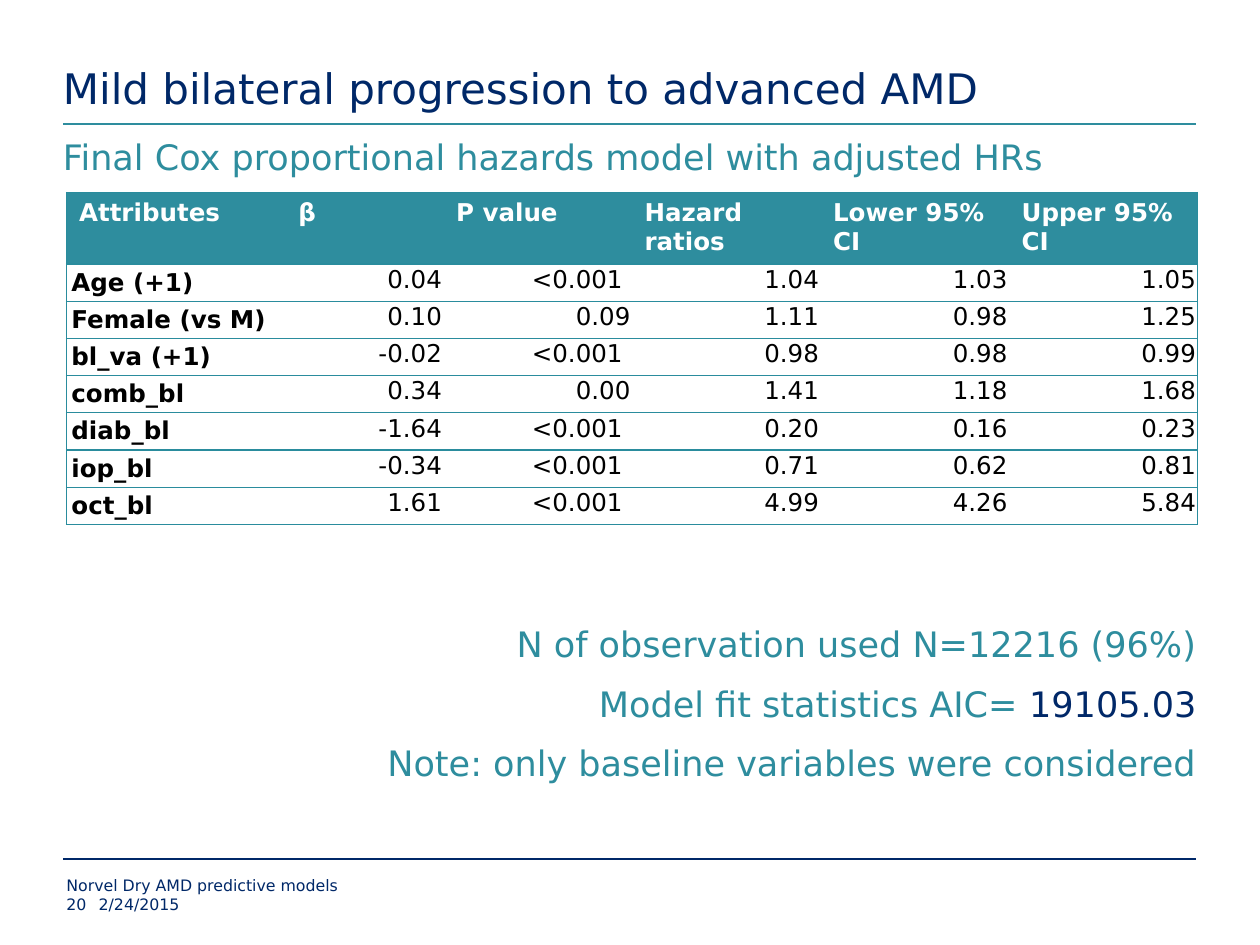
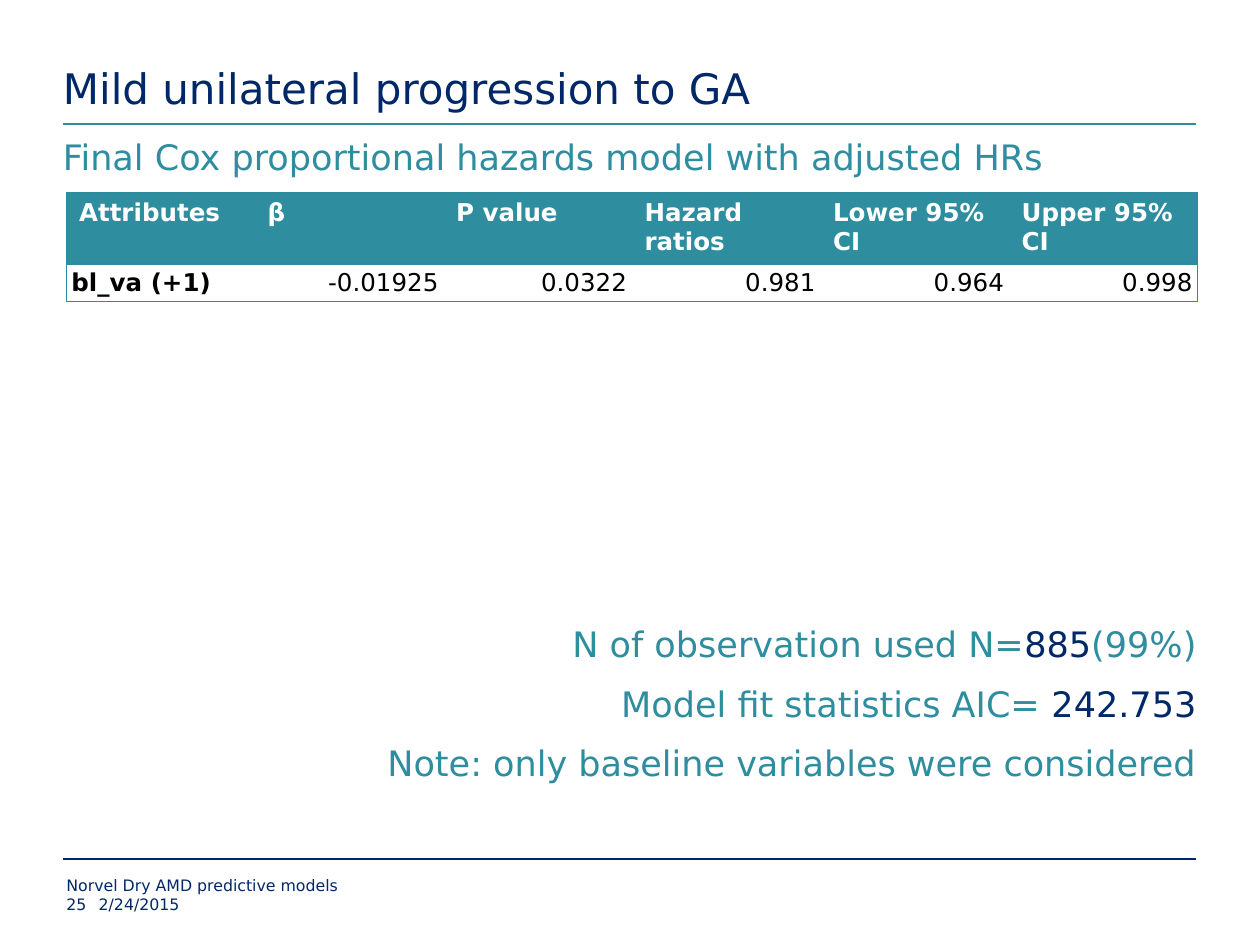
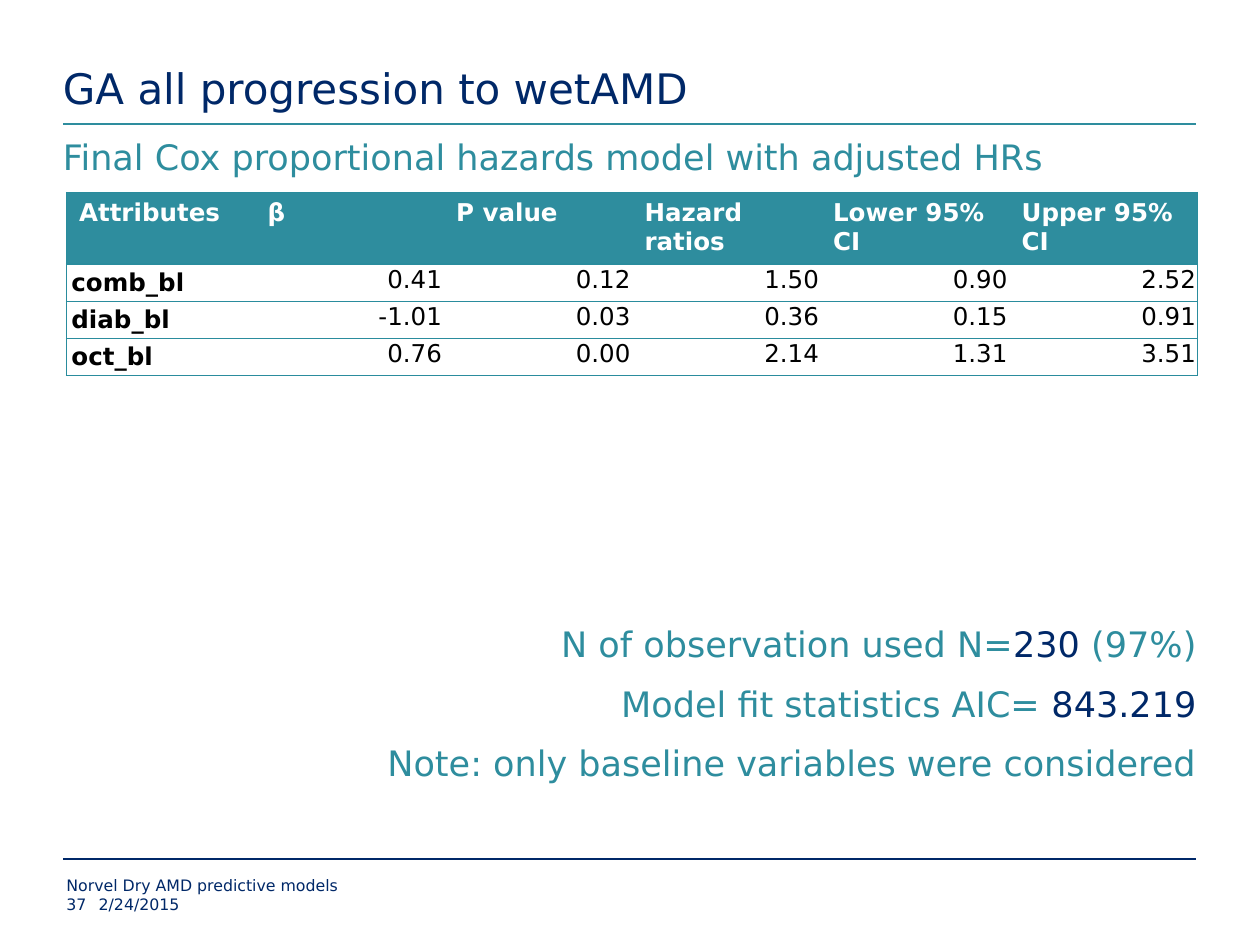
from lxml.etree import SubElement
from pptx import Presentation
from pptx.dml.color import RGBColor
from pptx.enum.shapes import MSO_CONNECTOR
from pptx.enum.text import MSO_ANCHOR, PP_ALIGN
from pptx.oxml import parse_xml
from pptx.oxml.ns import nsdecls, qn
from pptx.util import Cm, Pt

INK = {"navy": "002868", "teal": "2E8D9E", "edge": "2A8C9D",
       "white": "FFFFFF", "black": "000000"}
FONT = "DejaVu Sans"
LEFT, WIDE, RIGHT = 1.27, 22.85, 24.1
INSET = 1.34
COL, ROW, HEAD_ROW = 3.8, 0.75, 1.39
HEADS = ["Attributes", "β", "P value", "Hazard ratios", "Lower 95% CI", "Upper 95% CI"]
SIDES = ("left", "top", "right", "bottom")
TIGHT = (0.03, 0.03, 0.03, 0)
LOOSE = (0.1, 0, 0.1, 0)
AIRY = {"line_spacing": 1.15, "space_after": Pt(3)}
FLUSH = {"alignment": PP_ALIGN.RIGHT}

PAGES = [
    {"title": "Mild bilateral progression to advanced AMD", "num": "20",
     "cols": [4.42, 3.18] + [COL] * 4, "loose": False,
     "rows": [
         ["Age (+1)", "0.04", "<0.001 ", "1.04", "1.03", "1.05"],
         ["Female (vs M)", "0.10", "0.09", "1.11", "0.98", "1.25"],
         ["bl_va (+1)", "-0.02", "<0.001 ", "0.98", "0.98", "0.99"],
         ["comb_bl", "0.34", "0.00", "1.41", "1.18", "1.68"],
         ["diab_bl", "-1.64", "<0.001 ", "0.20", "0.16", "0.23"],
         ["iop_bl", "-0.34", "<0.001 ", "0.71", "0.62", "0.81"],
         ["oct_bl", "1.61", "<0.001 ", "4.99", "4.26", "5.84"]],
     "count": [("12216 (96%)", "teal")], "aic": "19105.03"},
    {"title": "Mild unilateral progression to GA", "num": "25",
     "cols": [COL] * 6, "loose": True,
     "rows": [["bl_va (+1)", "-0.01925", "0.0322", "0.981", "0.964", "0.998"]],
     "count": [("885", "navy"), ("(99%)", "teal")], "aic": "242.753"},
    {"title": "GA all progression to wetAMD", "num": "37",
     "cols": [COL] * 6, "loose": False,
     "rows": [
         ["comb_bl", "0.41", "0.12", "1.50", "0.90", "2.52"],
         ["diab_bl", "-1.01", "0.03", "0.36", "0.15", "0.91"],
         ["oct_bl", "0.76", "0.00", "2.14", "1.31", "3.51"]],
     "count": [("230 ", "navy"), ("(97%)", "teal")], "aic": "843.219"},
]


def apply(item, form):
    for key, value in form.items():
        setattr(item, key, value)


def pad(item, sizes):
    apply(item, {f"margin_{side}": Cm(size) for side, size in zip(SIDES, sizes)})


def write(para, runs, size, bold=False):
    """Add runs given as (text, colour name) pairs."""
    for text, ink in runs:
        run = para.add_run()
        run.text = text
        apply(run.font, {"name": FONT, "size": Pt(size), "bold": bold})
        run.font.color.rgb = RGBColor.from_string(INK[ink])


def add_text(slide, spot, paras, size, form=None, anchor=MSO_ANCHOR.TOP):
    frame = slide.shapes.add_textbox(*map(Cm, spot)).text_frame
    apply(frame, {"word_wrap": True, "vertical_anchor": anchor})
    pad(frame, (0, 0, 0, 0))
    for i, runs in enumerate(paras):
        para = frame.add_paragraph() if i else frame.paragraphs[0]
        apply(para, form or {})
        if i:
            para.space_before = Pt(10)
        write(para, runs, size)


def add_rule(slide, top, ink):
    rule = slide.shapes.add_connector(
        MSO_CONNECTOR.STRAIGHT, Cm(LEFT), Cm(top), Cm(RIGHT), Cm(top))
    rule.line.color.rgb = RGBColor.from_string(INK[ink])
    rule.line.width = Pt(1.5)
    SubElement(rule._element.spPr, qn("a:effectLst"))


def set_edges(cell, drawn):
    """Draw the edges named in drawn and clear the others."""
    props = cell._tc.get_or_add_tcPr()
    for i, side in enumerate("LRTB"):
        fill = (f'<a:solidFill><a:srgbClr val="{INK["edge"]}"/></a:solidFill>'
                if side in drawn else "<a:noFill/>")
        props.insert(i, parse_xml(
            f'<a:ln{side} {nsdecls("a")} w="{Pt(0.75)}">{fill}</a:ln{side}>'))


def fill_cell(cell, text, head, first, loose):
    cell.vertical_anchor = MSO_ANCHOR.TOP
    para = cell.text_frame.paragraphs[0]
    if head:
        cell.fill.solid()
        cell.fill.fore_color.rgb = RGBColor.from_string(INK["teal"])
    else:
        cell.fill.background()
        airy = first or loose
        pad(cell, LOOSE if airy else TIGHT)
        apply(para, {**(AIRY if airy else {}), **({} if first else FLUSH)})
    write(para, [(text, "white" if head else "black")], 14, head or first)


def add_grid(slide, page):
    rows, cols = [HEADS] + page["rows"], page["cols"]
    tall = HEAD_ROW + ROW * len(page["rows"])
    grid = slide.shapes.add_table(
        len(rows), len(cols), Cm(INSET), Cm(3.88), Cm(sum(cols)), Cm(tall)).table
    apply(grid, {"first_row": False, "horz_banding": False})
    for col, width in zip(grid.columns, cols):
        col.width = Cm(width)
    for r, row in enumerate(rows):
        grid.rows[r].height = Cm(ROW if r else HEAD_ROW)
        for c, text in enumerate(row):
            cell = grid.cell(r, c)
            fill_cell(cell, text, r == 0, c == 0, page["loose"])
            ends = {0: "L", len(cols) - 1: "R"}
            set_edges(cell, "TB" + ends.get(c, ""))


def add_frame(slide, page):
    """Add the title, subtitle, rules and footer that all slides share."""
    add_rule(slide, 2.5, "teal")
    add_rule(slide, 17.32, "navy")
    add_text(slide, (LEFT, 0, WIDE, 2.28), [[(page["title"], "navy")]], 24,
             anchor=MSO_ANCHOR.BOTTOM)
    add_text(slide, (LEFT, 2.73, WIDE, 1.24),
             [[("Final Cox proportional hazards model with adjusted HRs", "teal")]], 20)
    for left, top, width, text in (
            (INSET, 17.65, 19.05, "Norvel Dry AMD predictive models"),
            (INSET, 18.03, 0.64, page["num"]),
            (1.99, 18.03, 18.42, "2/24/2015")):
        add_text(slide, (left, top, width, 0.38), [[(text, "navy")]], 9)


def add_fit(slide, page):
    add_text(slide, (LEFT, 12.55, WIDE, 4.14), [
        [("N of observation used N=", "teal")] + page["count"],
        [("Model fit statistics AIC=", "teal"), (" " + page["aic"], "navy")],
        [("Note: only baseline variables were considered", "teal")]], 20, FLUSH)


def main():
    deck = Presentation()
    apply(deck, {"slide_width": Cm(25.4), "slide_height": Cm(19.05)})
    for page in PAGES:
        slide = deck.slides.add_slide(deck.slide_layouts[6])
        for add in (add_frame, add_grid, add_fit):
            add(slide, page)
    deck.save("out.pptx")


if __name__ == "__main__":
    main()
